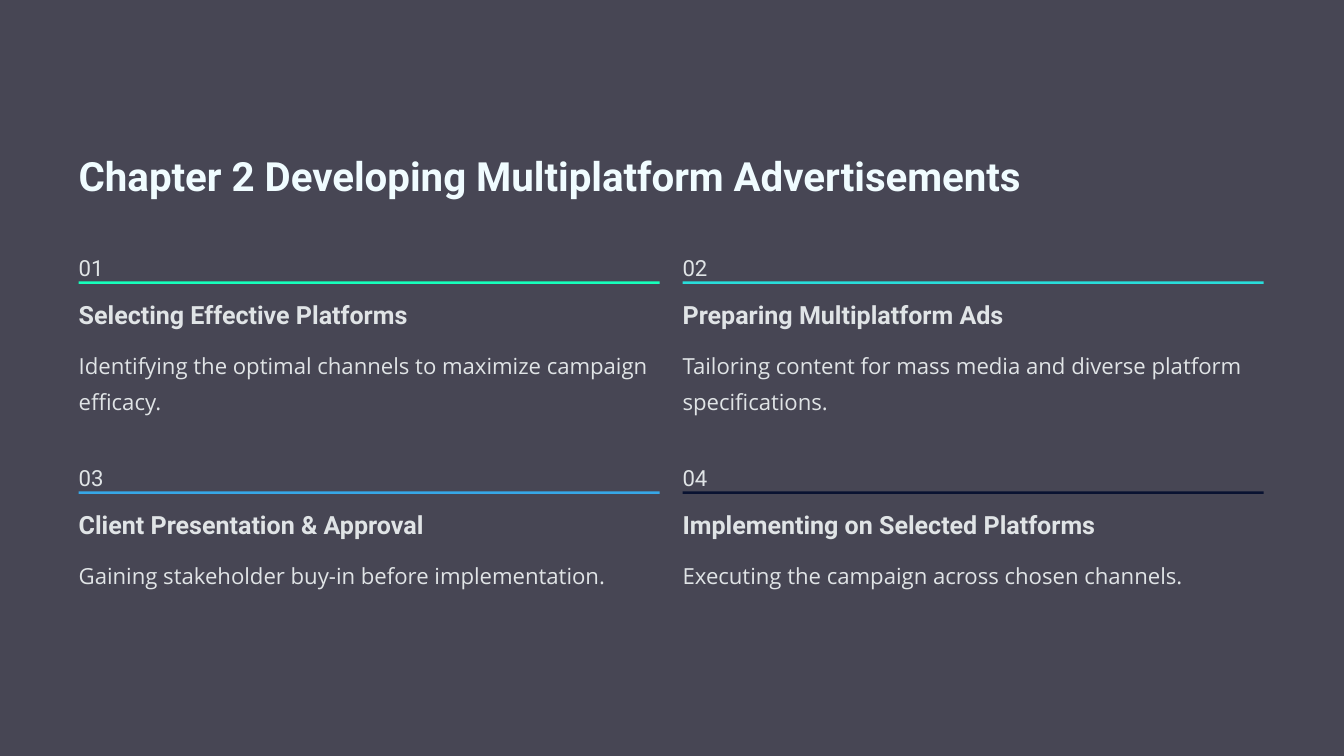
from pptx import Presentation
from pptx.dml.color import RGBColor
from pptx.enum import shapes
from pptx.util import Pt

TITLE = "Chapter 2 Developing Multiplatform Advertisements"
STEPS = [
    ("Selecting Effective Platforms",
     "Identifying the optimal channels to maximize campaign efficacy.",
     RGBColor(0x16, 0xFF, 0xBB)),
    ("Preparing Multiplatform Ads",
     "Tailoring content for mass media and diverse platform specifications.",
     RGBColor(0x29, 0xDD, 0xDA)),
    ("Client Presentation & Approval",
     "Gaining stakeholder buy-in before implementation.",
     RGBColor(0x37, 0xA7, 0xE7)),
    ("Implementing on Selected Platforms",
     "Executing the campaign across chosen channels.",
     RGBColor(0x09, 0x12, 0x31)),
]
BACK = RGBColor(0x47, 0x46, 0x54)
PALE = RGBColor(0xF0, 0xFC, 0xFF)
GREY = RGBColor(0xE0, 0xE4, 0xE6)
HEAD, BODY = "Roboto", "Open Sans"

LEFT, TOP = 67.5, 210
WIDE, GAP = 498, 19.6
ROW = 180


def add_text(slide, words, box, size, lead, face=HEAD, color=GREY, bold=False):
    """Add a text box without margins; lead is the line height."""
    frame = slide.shapes.add_textbox(*map(Pt, box)).text_frame
    frame.word_wrap = True
    frame.margin_left = frame.margin_right = 0
    frame.margin_top = frame.margin_bottom = 0
    para = frame.paragraphs[0]
    para.text = words
    para.line_spacing = Pt(lead)
    font = para.font
    font.name, font.size, font.bold = face, Pt(size), bold
    font.color.rgb = color


def add_bar(slide, box, color):
    bar = slide.shapes.add_shape(shapes.MSO_SHAPE.RECTANGLE, *map(Pt, box))
    bar.shadow.inherit = False
    bar.fill.solid()
    bar.fill.fore_color.rgb = color
    bar.line.fill.background()


def main():
    deck = Presentation()
    deck.slide_width, deck.slide_height = Pt(1152), Pt(648)
    slide = deck.slides.add_slide(deck.slide_layouts[6])
    slide.background.fill.solid()
    slide.background.fill.fore_color.rgb = BACK

    add_text(slide, TITLE, (LEFT, 128.2, 847, 43), 34.5, 43,
             color=PALE, bold=True)
    for i, (name, note, color) in enumerate(STEPS):
        row, col = divmod(i, 2)
        x = LEFT + col * (WIDE + GAP)
        y = TOP + row * ROW
        add_text(slide, f"{i + 1:02}", (x, y, 30, 24.5), 19, 31)
        add_bar(slide, (x, y + 31.2, WIDE, 2.25), color)
        add_text(slide, name, (x, y + 45.6, WIDE, 27), 21.5, 27, bold=True)
        add_text(slide, note, (x, y + 83.8, WIDE, 62), 19, 31, face=BODY)
    deck.save("out.pptx")


if __name__ == "__main__":
    main()
